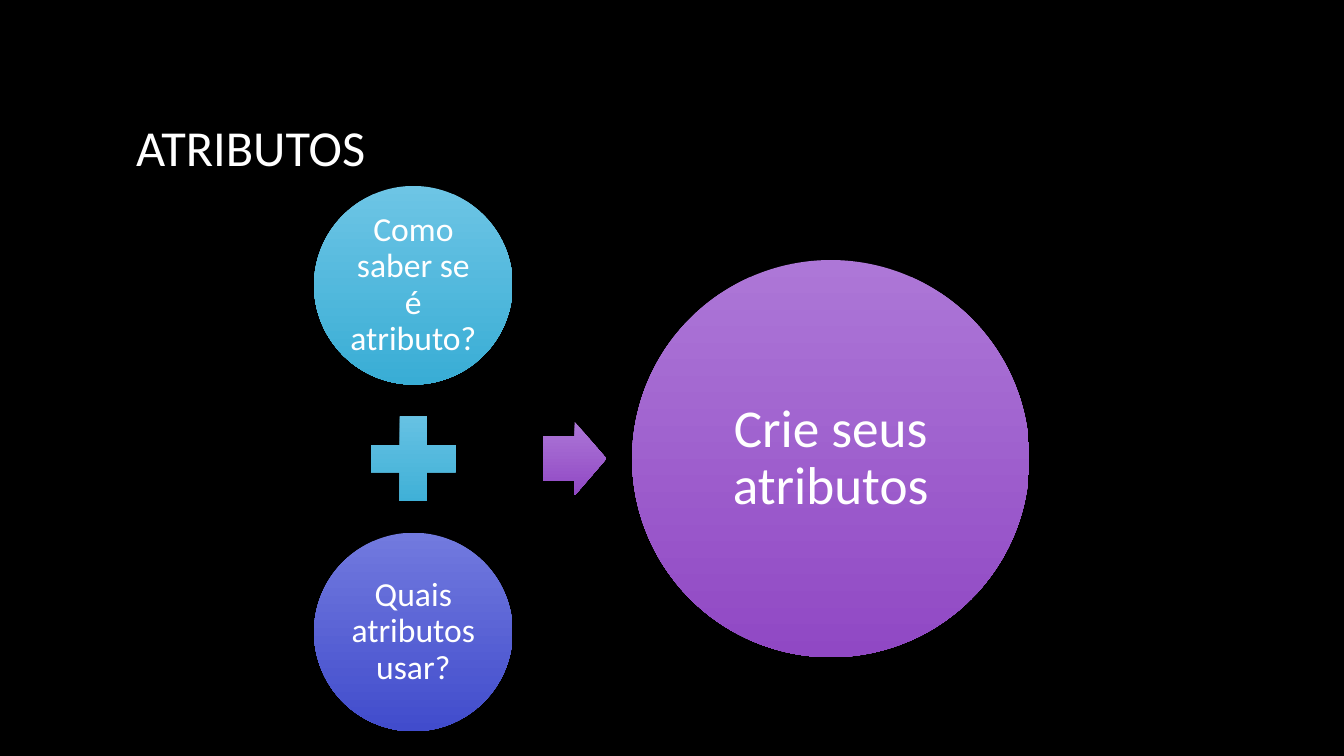
from pptx import Presentation
from pptx.dml.color import RGBColor
from pptx.enum.shapes import MSO_SHAPE as Shape
from pptx.enum.text import MSO_ANCHOR as Anchor, MSO_AUTO_SIZE as Fit, PP_ALIGN as Align
from pptx.util import Pt

PX = 9144  # 100 px to the inch
COLORS = {
    "back": "000000",
    "text": "FFFFFF",
    "blue": ("6DC5E5", "39ADD5"),
    "indigo": ("727ADE", "414CCC"),
    "purple": ("AD77D7", "9048C4"),
}


def rgb(value):
    return RGBColor.from_string(value)


def apply(item, values):
    for name, value in values.items():
        setattr(item, name, value)


def write(frame, text, size, align, inset):
    sides = ("left", "top", "right", "bottom")
    apply(frame, {f"margin_{side}": edge * PX for side, edge in zip(sides, inset)})
    apply(frame, {"word_wrap": True, "auto_size": Fit.NONE,
                  "vertical_anchor": Anchor.MIDDLE, "text": text})
    para = frame.paragraphs[0]
    apply(para, {"alignment": align, "line_spacing": 0.9})
    font = para.runs[0].font
    apply(font, {"name": "Calibri", "size": Pt(size)})
    font.color.rgb = rgb(COLORS["text"])


def add_title(slide, text, *box):
    title = slide.shapes.title
    for name, value in zip(("left", "top", "width", "height"), box):
        setattr(title, name, value * PX)
    write(title.text_frame, text, 36, Align.LEFT, (10, 5, 10, 5))


def add_form(slide, kind, color, mid, width, height):
    """Add a gradient shape centred on the point mid."""
    left, top = mid[0] - width / 2, mid[1] - height / 2
    form = slide.shapes.add_shape(
        kind, *(round(value * PX) for value in (left, top, width, height)))
    form.shadow.inherit = False
    form.line.fill.background()
    form.fill.gradient()
    form.fill.gradient_angle = 270
    for stop, tone in zip(form.fill.gradient_stops, COLORS[color]):
        apply(stop, {"position": stop.position})
        stop.color.rgb = rgb(tone)
    return form


def add_circle(slide, color, mid, width, text, size, inset):
    form = add_form(slide, Shape.OVAL, color, mid, width, width)
    write(form.text_frame, text, size, Align.CENTER, (inset,) * 4)


def main():
    deck = Presentation()
    deck.slide_width, deck.slide_height = 1333 * PX, 750 * PX
    slide = deck.slides.add_slide(deck.slide_layouts[5])
    slide.background.fill.solid()
    slide.background.fill.fore_color.rgb = rgb(COLORS["back"])
    add_title(slide, "ATRIBUTOS", 125, 68, 1083, 162)

    left, axis, step = 410, 455, 172
    add_circle(slide, "blue", (left, axis - step), 197,
               "Como saber se é atributo?", 24, 3)
    add_form(slide, Shape.MATH_PLUS, "blue", (left, axis), 114, 114)
    add_circle(slide, "indigo", (left, axis + step), 197,
               "Quais atributos usar?", 24, 3)
    arrow = add_form(slide, Shape.RIGHT_ARROW, "purple", (570, axis), 63, 73)
    arrow.adjustments[0] = 0.6
    add_circle(slide, "purple", (824, axis), 394, "Crie seus atributos", 38, 5)
    deck.save("out.pptx")


if __name__ == "__main__":
    main()
